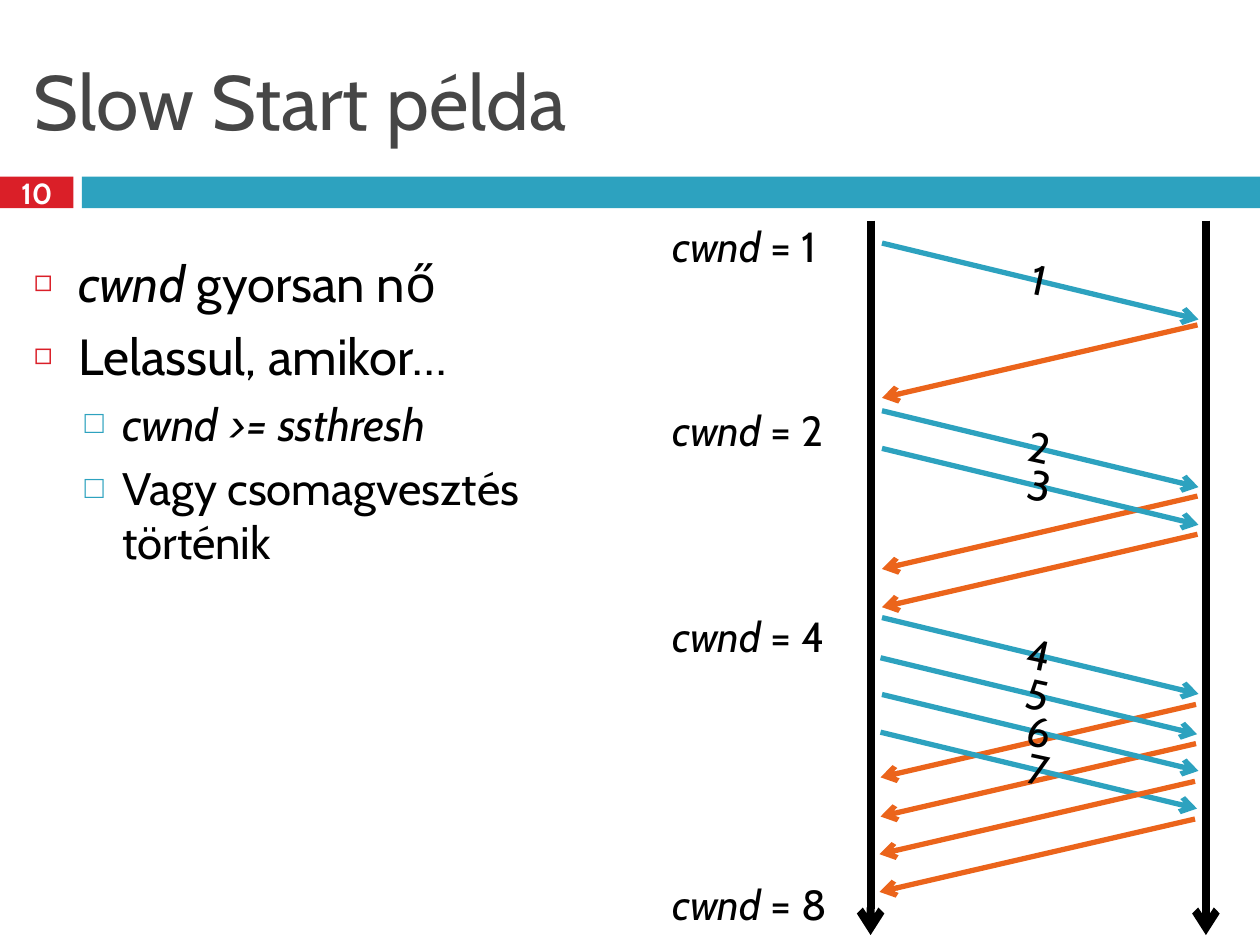
from lxml.etree import SubElement
from pptx import Presentation
from pptx.dml.color import RGBColor
from pptx.enum.shapes import MSO_CONNECTOR, MSO_SHAPE
from pptx.enum.text import MSO_ANCHOR, MSO_AUTO_SIZE, PP_ALIGN
from pptx.oxml.ns import qn
from pptx.util import Cm, Pt

BLACK, GREY, WHITE = "000000", "464646", "FFFFFF"
RED, BLUE, ORANGE = "DA1F28", "2DA2BF", "EB641B"


def color(hex_value):
    return RGBColor.from_string(hex_value)


class SlideBuilder:
    """Holds the type style and the current slide."""

    def __init__(self, deck, font="Cabin"):
        self.font = font
        self.slide = deck.slides.add_slide(deck.slide_layouts[1])
        self.shapes = self.slide.shapes

    def style(self, paragraph, size, ink=BLACK, bold=False, italic_runs=()):
        for index, run in enumerate(paragraph.runs):
            run.font.name = self.font
            run.font.size = Pt(size)
            run.font.bold = bold
            run.font.italic = index in italic_runs
            run.font.color.rgb = color(ink)

    def add_parts(self, paragraph, parts, size):
        for part in parts:
            paragraph.add_run().text = part
        self.style(paragraph, size, italic_runs=(0,) if parts[0].startswith("cwnd") else ())

    def place(self, holder, left, top, width, height):
        holder.left, holder.top = Cm(left), Cm(top)
        holder.width, holder.height = Cm(width), Cm(height)
        frame = holder.text_frame
        frame.word_wrap = True
        frame.auto_size = MSO_AUTO_SIZE.NONE
        return frame

    def title(self, text, *box):
        frame = self.place(self.shapes.title, *box)
        frame.text = text
        frame.vertical_anchor = MSO_ANCHOR.MIDDLE
        frame.paragraphs[0].alignment = PP_ALIGN.LEFT
        self.style(frame.paragraphs[0], 44, GREY)

    def bar(self, left, width, fill, text=""):
        band = self.shapes.add_shape(MSO_SHAPE.RECTANGLE, Cm(left), Cm(3.56), Cm(width), Cm(0.64))
        band.shadow.inherit = False
        band.fill.solid()
        band.fill.fore_color.rgb = color(fill)
        band.line.fill.background()
        if text:
            frame = band.text_frame
            frame.margin_top = frame.margin_bottom = 0
            frame.text = text
            frame.vertical_anchor = MSO_ANCHOR.MIDDLE
            frame.paragraphs[0].alignment = PP_ALIGN.CENTER
            self.style(frame.paragraphs[0], 16.6, WHITE, bold=True)

    def arrow(self, x1, y1, x2, y2, ink, weight=3):
        line = self.shapes.add_connector(MSO_CONNECTOR.STRAIGHT, Cm(x1), Cm(y1), Cm(x2), Cm(y2))
        line.line.color.rgb = color(ink)
        line.line.width = Pt(weight)
        props = line._element.spPr
        SubElement(props.find(qn("a:ln")), qn("a:tailEnd"), type="arrow")
        SubElement(props, qn("a:effectLst"))

    def label(self, parts, left, top, width, rotation=0, align=PP_ALIGN.LEFT):
        box = self.shapes.add_textbox(Cm(left), Cm(top), Cm(width), Cm(1.27))
        box.rotation = rotation
        box.text_frame.word_wrap = bool(rotation)
        paragraph = box.text_frame.paragraphs[0]
        paragraph.alignment = align
        self.add_parts(paragraph, parts, 24)

    def packet(self, number, left, top):
        self.arrow(left, top, left + 6.38, top + 1.54, BLUE)
        self.label([str(number)], left + 1.77, top + 0.09, 2.82, 12.3, PP_ALIGN.CENTER)

    def ack(self, left, top):
        self.arrow(left + 6.36, top, left, top + 1.47, ORANGE)

    def bullets(self, items, *box):
        frame = self.place(self.slide.placeholders[1], *box)
        levels = [
            dict(size=29, before=7, margin=0.89, hang=0.89, mark="◻", ink=RED, scale=60),
            dict(size=26, before=5.5, margin=1.78, hang=0.76, mark="□", ink=BLUE, scale=70),
        ]
        for index, (level, parts) in enumerate(items):
            look = levels[level]
            paragraph = frame.add_paragraph() if index else frame.paragraphs[0]
            paragraph.level = level
            paragraph.space_before = Pt(look["before"])
            self.add_parts(paragraph, parts, look["size"])
            props = paragraph._p.get_or_add_pPr()
            props.set("marL", str(Cm(look["margin"])))
            props.set("indent", str(-Cm(look["hang"])))
            SubElement(SubElement(props, qn("a:buClr")), qn("a:srgbClr"), val=look["ink"])
            SubElement(props, qn("a:buSzPct"), val=str(look["scale"] * 1000))
            SubElement(props, qn("a:buChar"), char=look["mark"])


def main():
    deck = Presentation()
    deck.slide_width, deck.slide_height = Cm(25.4), Cm(19.05)
    page = SlideBuilder(deck)

    page.bar(0, 1.48, RED, "10")
    page.bar(1.65, 23.75, BLUE)
    page.title("Slow Start példa", 0.43, 0.64, 24.56, 2.74)
    page.bullets(
        [
            (0, ["cwnd ", "gyorsan nő"]),
            (0, ["Lelassul, amikor…"]),
            (1, ["cwnd >= ssthresh"]),
            (1, ["Vagy csomagvesztés történik"]),
        ],
        0.43, 4.95, 11.73, 13.67,
    )

    acks = [(17.78, 6.55), (17.78, 10), (17.78, 10.77), (17.75, 14.2),
            (17.75, 14.99), (17.73, 15.75), (17.73, 16.51)]
    packets = [(17.78, 4.9), (17.78, 8.28), (17.78, 9.04), (17.78, 12.45),
               (17.75, 13.26), (17.78, 14), (17.75, 14.76)]
    for start in acks[:5]:
        page.ack(*start)
    for host in (17.55, 24.31):
        page.arrow(host, 4.45, host, 18.85, BLACK, 4.5)
    for number, start in enumerate(packets, 1):
        page.packet(number, *start)
    for start in acks[5:]:
        page.ack(*start)
    for power, top in enumerate((4.32, 8.03, 12.19, 17.58)):
        page.label(["cwnd", f" = {2 ** power}"], 13.31, top, 3.96)

    deck.save("out.pptx")


if __name__ == "__main__":
    main()
